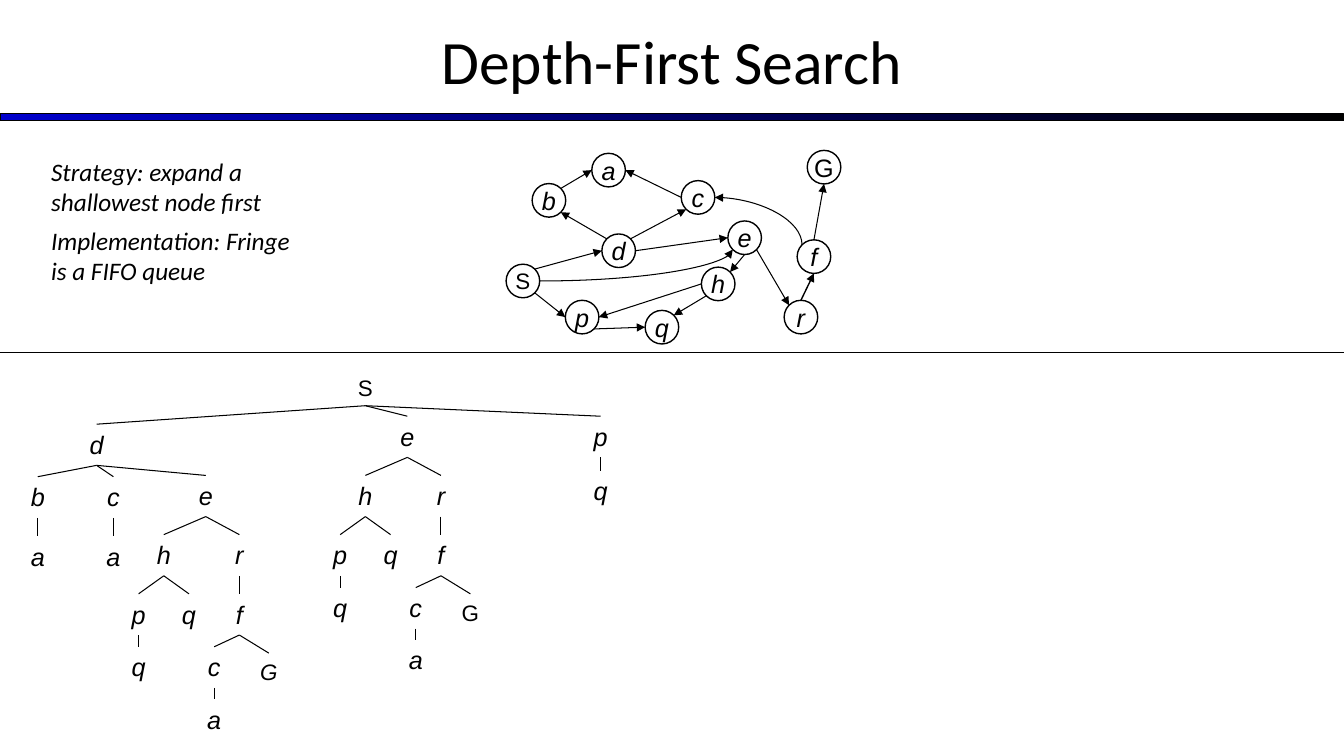
from dataclasses import dataclass, field
from math import cos, radians, sin

from lxml.etree import SubElement
from pptx import Presentation
from pptx.dml.color import RGBColor
from pptx.enum.shapes import MSO_CONNECTOR, MSO_SHAPE
from pptx.enum.text import MSO_ANCHOR, PP_ALIGN
from pptx.oxml.ns import qn
from pptx.shapes.connector import Connector
from pptx.text.text import TextFrame
from pptx.util import Emu, Inches, Pt

COLUMNS, ROWS = 320, 180


@dataclass(frozen=True)
class Theme:
    ink: RGBColor = RGBColor(0, 0, 0)
    bar_start: RGBColor = RGBColor(0, 0, 0xCC)
    heading_font: str = "Calibri"
    node_font: str = "Arial"
    title_size: int = 44
    text_size: int = 18
    small_size: int = 16
    hairline: float = 0.75
    outline: float = 1


@dataclass
class TreeNode:
    """A search-tree node, placed in columns and rows relative to its parent."""
    letter: str
    dx: float
    dy: float
    children: list["TreeNode"] = field(default_factory=list)
    small: bool = False
    italic: bool = True


@dataclass(frozen=True)
class State:
    """A graph state, placed by the centre of its circle."""
    letter: str
    column: float
    row: float
    size: int = Theme.text_size
    italic: bool = True


@dataclass(frozen=True)
class Arc:
    """An arrow between two states, leaving and entering at compass points."""
    start: str
    leave: str
    end: str
    enter: str
    weight: float = Theme.hairline
    curved: bool = False
    arrow: str = "tailEnd"


THEME = Theme()
RADIUS = 4
COMPASS = {name: 45 * step for step, name in
           enumerate(("E", "SE", "S", "SW", "W", "NW", "N", "NE"))}

STATES = {state.letter: state for state in (
    State("S", 124.5, 66.9, THEME.small_size, False),
    State("G", 196.2, 39.8, italic=False),
    State("d", 147.3, 59.7), State("b", 130.7, 47.7),
    State("p", 138.6, 75.5), State("q", 157.6, 77.9),
    State("c", 166.2, 47), State("e", 177.3, 56.6),
    State("h", 171, 67.6), State("a", 144.9, 40.5),
    State("f", 193.8, 61.1), State("r", 190.7, 75.5),
)}

ARCS = (
    Arc("S", "SE", "p", "W"), Arc("p", "SE", "q", "W"),
    Arc("h", "SW", "q", "NE"), Arc("h", "W", "p", "E"),
    Arc("e", "S", "h", "NE"), Arc("e", "SE", "r", "NW"),
    Arc("r", "N", "f", "S", weight=THEME.outline), Arc("f", "N", "G", "S"),
    Arc("S", "NE", "d", "W"), Arc("d", "NW", "b", "SE"),
    Arc("b", "NE", "a", "W"), Arc("c", "W", "a", "E"),
    Arc("d", "NE", "c", "SW"), Arc("d", "E", "e", "W"),
    Arc("c", "E", "f", "NW", curved=True, arrow="headEnd"),
    Arc("S", "E", "e", "SW", curved=True),
)


def expand_e(dx: float, dy: float, goal_italic: bool) -> TreeNode:
    """The subtree below e, which the search reaches twice."""
    step, short = 14.1, 12.6
    goal = TreeNode("G", 7, step, small=True, italic=goal_italic)
    c = TreeNode("c", -6, short, [TreeNode("a", 0, 12.4)])
    p = TreeNode("p", -6, step, [TreeNode("q", 0, short)])
    f = TreeNode("f", 0, step, [c, goal])
    return TreeNode("e", dx, dy, [
        TreeNode("h", -10, step, [p, TreeNode("q", 6, step)]),
        TreeNode("r", 8, step, [f]),
    ])


SEARCH_TREE = TreeNode("S", 87, 87.8, [
    TreeNode("d", -64, 13.2, [
        TreeNode("b", -14, 12.5, [TreeNode("a", 0, 14.2)]),
        TreeNode("c", 4, 12.5, [TreeNode("a", 0, 14.2)]),
        expand_e(26, 12.2, goal_italic=True),
    ]),
    expand_e(10, 11.3, goal_italic=False),
    TreeNode("p", 56, 11.3, [TreeNode("q", 0, 13)]),
], small=True, italic=False)

prs = Presentation()
prs.slide_width, prs.slide_height = Emu(12192000), Inches(7.5)
slide = prs.slides.add_slide(prs.slide_layouts[6])
shapes = slide.shapes


def grid(*cells: float) -> list[Emu]:
    """Turn alternating column and row counts into lengths."""
    units = (prs.slide_width / COLUMNS, prs.slide_height / ROWS)
    return [Emu(round(cell * units[i % 2])) for i, cell in enumerate(cells)]


def write(frame: TextFrame, *paragraphs: str, size: int = THEME.text_size,
          font: str = THEME.node_font, italic: bool = False, wrap: bool = True,
          align: PP_ALIGN = PP_ALIGN.CENTER, anchor: MSO_ANCHOR = MSO_ANCHOR.TOP,
          gap: float = 0) -> None:
    frame.word_wrap, frame.vertical_anchor = wrap, anchor
    for i, text in enumerate(paragraphs):
        paragraph = frame.add_paragraph() if i else frame.paragraphs[0]
        paragraph.alignment = align
        if i:
            paragraph.space_before = Pt(gap)
        run = paragraph.add_run()
        run.text = text
        run.font.name, run.font.size, run.font.italic = font, Pt(size), italic
        run.font.color.rgb = THEME.ink


def draw_line(x1: float, y1: float, x2: float, y2: float, arrow: str = "",
              weight: float = THEME.hairline, curved: bool = False) -> Connector:
    kind = MSO_CONNECTOR.CURVE if curved else MSO_CONNECTOR.STRAIGHT
    line = shapes.add_connector(kind, *grid(x1, y1, x2, y2))
    line.line.color.rgb, line.line.width = THEME.ink, Pt(weight)
    properties = line._element.spPr
    if curved:
        properties.find(qn("a:prstGeom")).set("prst", "curvedConnector2")
    if arrow:
        SubElement(properties.find(qn("a:ln")), qn(f"a:{arrow}"), type="triangle")
    SubElement(properties, qn("a:effectLst"))
    return line


def draw_tree(node: TreeNode, parent_x: float = 0, parent_y: float = 0) -> None:
    x, y = parent_x + node.dx, parent_y + node.dy
    width, height = (20, 8.8) if node.small else (10, 9.8)
    label = shapes.add_textbox(*grid(x - width / 2, y, width, height))
    write(label.text_frame, node.letter, italic=node.italic,
          size=THEME.small_size if node.small else THEME.text_size)
    for child in node.children:
        draw_line(x, y + height, x + child.dx, y + child.dy)
        draw_tree(child, x, y)


def draw_state(state: State) -> None:
    circle = shapes.add_shape(
        MSO_SHAPE.FLOWCHART_CONNECTOR,
        *grid(state.column - RADIUS, state.row - RADIUS, 2 * RADIUS, 2 * RADIUS))
    circle.shadow.inherit = False
    circle.fill.background()
    circle.line.color.rgb, circle.line.width = THEME.ink, Pt(THEME.outline)
    write(circle.text_frame, state.letter, size=state.size, italic=state.italic,
          wrap=False, anchor=MSO_ANCHOR.MIDDLE)


def rim(letter: str, direction: str) -> tuple[float, float]:
    """The point of a state's circle that lies in a compass direction."""
    state, angle = STATES[letter], radians(COMPASS[direction])
    return state.column + RADIUS * cos(angle), state.row + RADIUS * sin(angle)


def draw_header() -> None:
    bar = shapes.add_shape(MSO_SHAPE.RECTANGLE, *grid(0, 27.1, COLUMNS, 1.7))
    bar.shadow.inherit = False
    bar.fill.gradient()
    bar.fill.gradient_angle = 0
    for stop, color in zip(bar.fill.gradient_stops, (THEME.bar_start, THEME.ink)):
        stop.color.rgb = color
    bar.line.color.rgb, bar.line.width = THEME.ink, Pt(THEME.hairline)
    title = shapes.add_textbox(*grid(0, -0.7, COLUMNS, 30))
    write(title.text_frame, "Depth-First Search", size=THEME.title_size,
          font=THEME.heading_font, anchor=MSO_ANCHOR.MIDDLE)


draw_header()
draw_tree(SEARCH_TREE)
for graph_state in STATES.values():
    draw_state(graph_state)
for arc in ARCS:
    draw_line(*rim(arc.start, arc.leave), *rim(arc.end, arc.enter),
              arrow=arc.arrow, weight=arc.weight, curved=arc.curved)
draw_line(0, 84, COLUMNS, 84)
strategy = shapes.add_textbox(*grid(9.8, 36, 62.2, 47.5))
write(strategy.text_frame, "Strategy: expand a shallowest node first",
      "Implementation: Fringe is a FIFO queue", font=THEME.heading_font,
      italic=True, align=PP_ALIGN.LEFT, gap=6)

prs.save("out.pptx")
